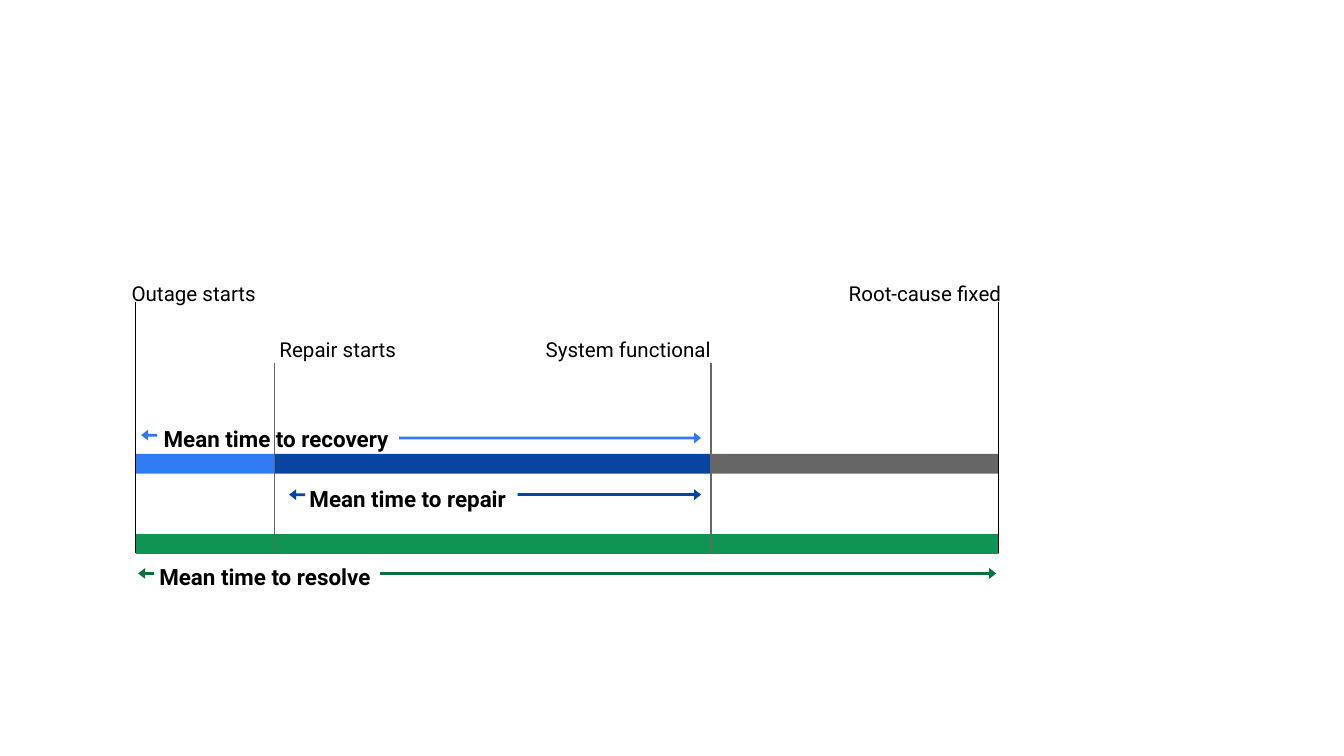
from pptx import Presentation
from pptx.dml.color import RGBColor
from pptx.enum.shapes import MSO_CONNECTOR, MSO_SHAPE
from pptx.enum.text import PP_ALIGN
from pptx.oxml.ns import qn
from pptx.util import Pt
from lxml import etree

RECT, ARROW = MSO_SHAPE.RECTANGLE, MSO_SHAPE.RIGHT_ARROW
STRAIGHT = MSO_CONNECTOR.STRAIGHT
LEFT, CENTER, RIGHT = PP_ALIGN.LEFT, PP_ALIGN.CENTER, PP_ALIGN.RIGHT

BLACK, GRAY = "000000", "666666"
BLUE, NAVY, GREEN, DARK_GREEN = "307BF3", "0944A1", "0E9453", "0B7140"

# Moments on the time axis
OUTAGE, REPAIR, FUNCTIONAL, FIXED = 72.75, 146.9, 380.9, 535
BAR_H, ARROW_H = 10.6, 5.8
LINE_END = 296

prs = Presentation()
prs.slide_width, prs.slide_height = Pt(720), Pt(405)
s = prs.slides.add_slide(prs.slide_layouts[6])


def add_text(text, x, y, size=11, bold=False, align=LEFT):
    tf = s.shapes.add_textbox(Pt(x), Pt(y), Pt(149), Pt(29.5)).text_frame
    tf.word_wrap = True
    tf.margin_left = tf.margin_right = tf.margin_top = tf.margin_bottom = Pt(7.2)
    p = tf.paragraphs[0]
    p.alignment, p.line_spacing, p.space_after = align, 1.15, Pt(16)
    r = p.add_run()
    r.text = text
    r.font.name, r.font.size, r.font.bold = "Roboto", Pt(size), bold
    r.font.color.rgb = RGBColor.from_string(BLACK)


def add_filled(kind, x, y, w, h, color):
    sp = s.shapes.add_shape(kind, Pt(x), Pt(y), Pt(w), Pt(h))
    sp.shadow.inherit = False
    sp.fill.solid()
    sp.fill.fore_color.rgb = RGBColor.from_string(color)
    sp.line.fill.background()
    return sp


# Names of the measured spans
for text, x, y in [("Mean time to recovery", 73.5, 218.2),
                   ("Mean time to repair", 144, 250.3),
                   ("Mean time to resolve", 67.5, 292.3)]:
    add_text(text, x, y, size=12, bold=True, align=CENTER)

# Phase bars
for start, end, y, color in [(FUNCTIONAL, FIXED, 243.2, GRAY),
                             (OUTAGE, REPAIR, 243.2, BLUE),
                             (REPAIR, FUNCTIONAL, 243.2, NAVY),
                             (OUTAGE, FIXED, 286.2, GREEN)]:
    add_filled(RECT, start, y, end - start, BAR_H, color)

# Event markers
for x, top, color in [(OUTAGE, 162, BLACK), (REPAIR, 194.5, GRAY),
                      (FUNCTIONAL, 194.5, GRAY), (FIXED, 162, BLACK)]:
    line = s.shapes.add_connector(STRAIGHT, Pt(x), Pt(top), Pt(x), Pt(LINE_END))
    line.line.color.rgb = RGBColor.from_string(color)
    line.line.width = Pt(0.75)
    etree.SubElement(line._element.spPr, qn("a:effectLst"))

# Event names
for text, x, y, align in [("Outage starts", 63.4, 141.1, LEFT),
                          ("Repair starts", 142.6, 171.3, LEFT),
                          ("System functional", 239, 171.3, RIGHT),
                          ("Root-cause fixed", 394.5, 141.1, RIGHT)]:
    add_text(text, x, y, align=align)

# Span arrows: a long one to the right and a short one turned to the left
for x, y, w, left_x, left_y, color in [
        (213.9, 231.7, 161.7, 75.6, 230.2, BLUE),
        (277.3, 262.1, 98.3, 154.9, 262.1, NAVY),
        (203.7, 304.3, 330, 74, 304.3, DARK_GREEN)]:
    for ax, ay, aw, turn in [(x, y, w, 0), (left_x, left_y, 8.6, 180)]:
        sp = add_filled(ARROW, ax, ay, aw, ARROW_H, color)
        sp.adjustments[0], sp.adjustments[1] = 0.25, 0.64
        sp.rotation = turn

prs.save("out.pptx")
